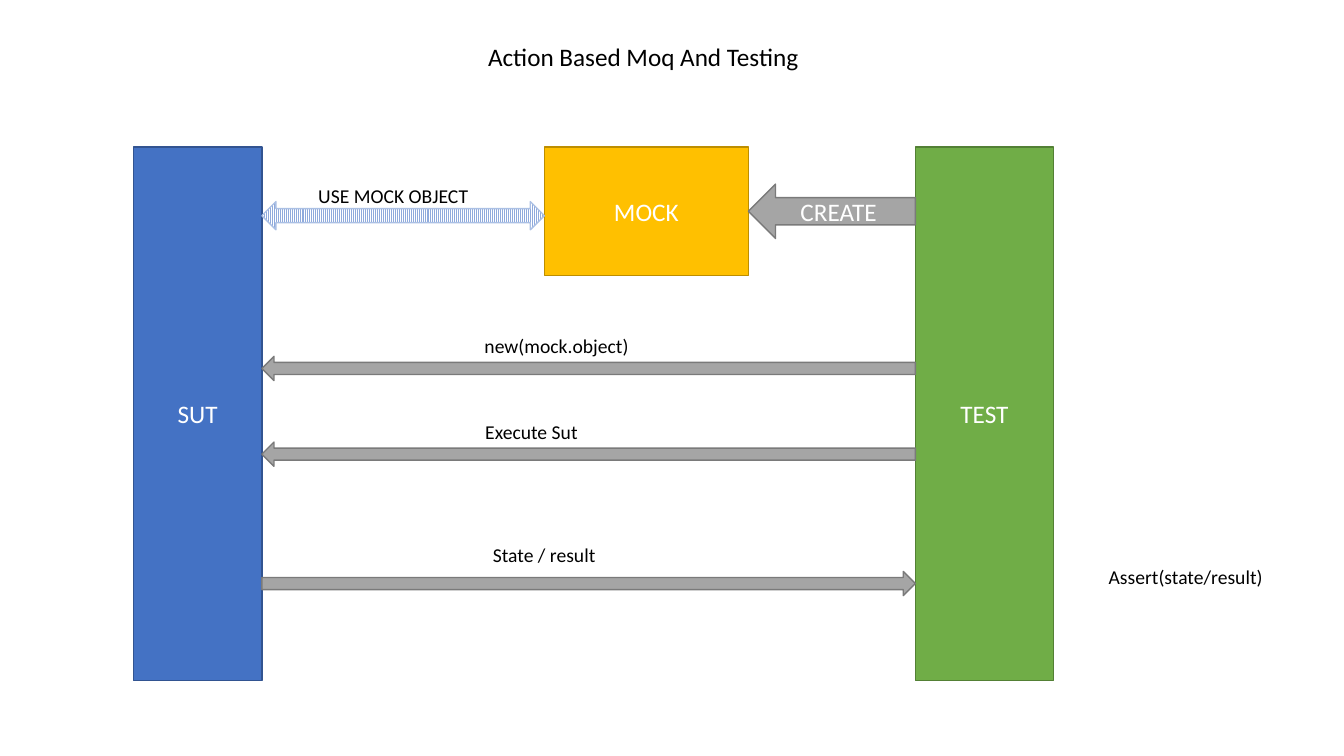
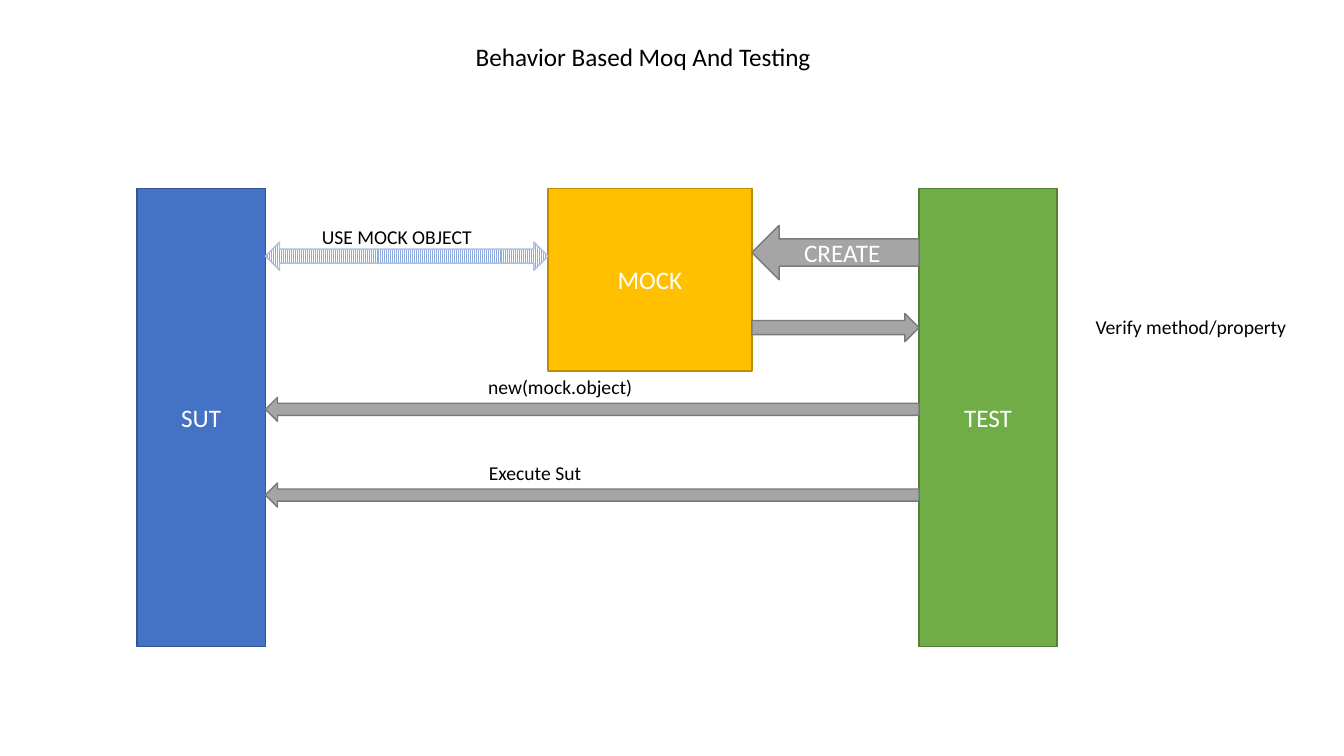
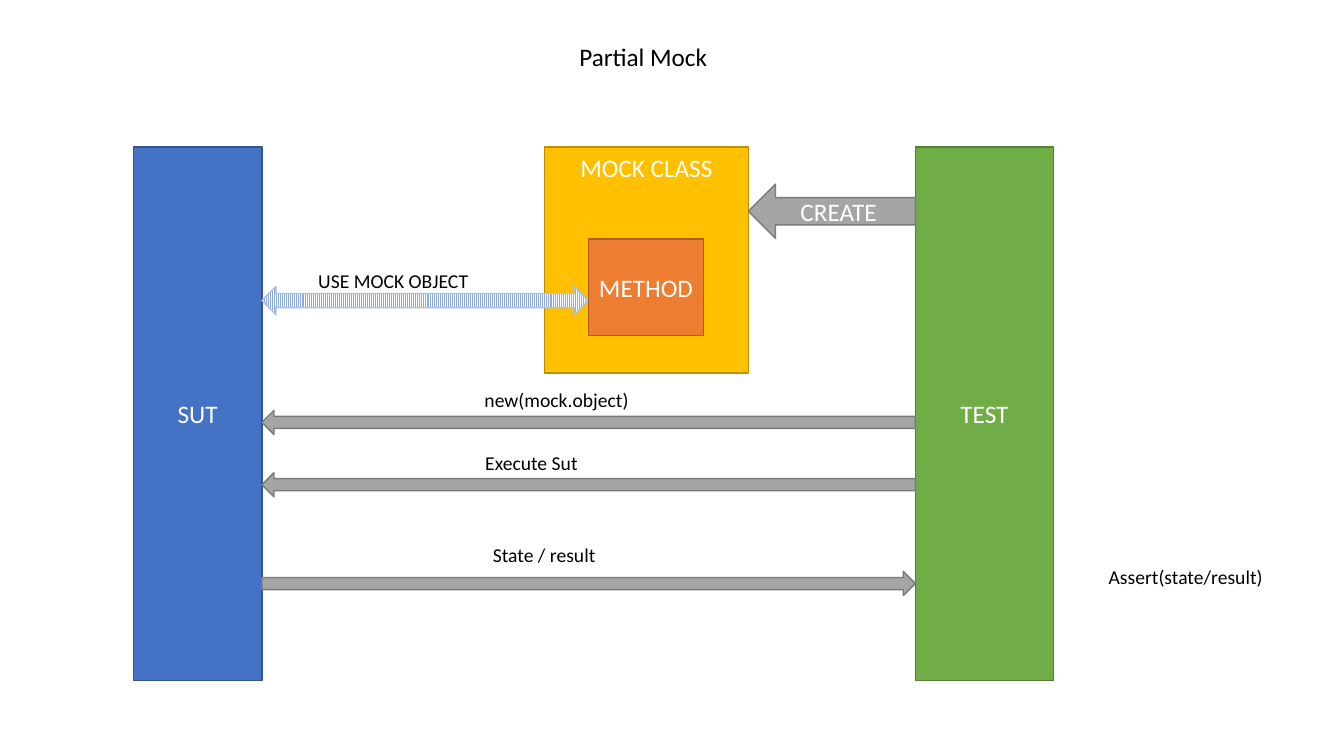
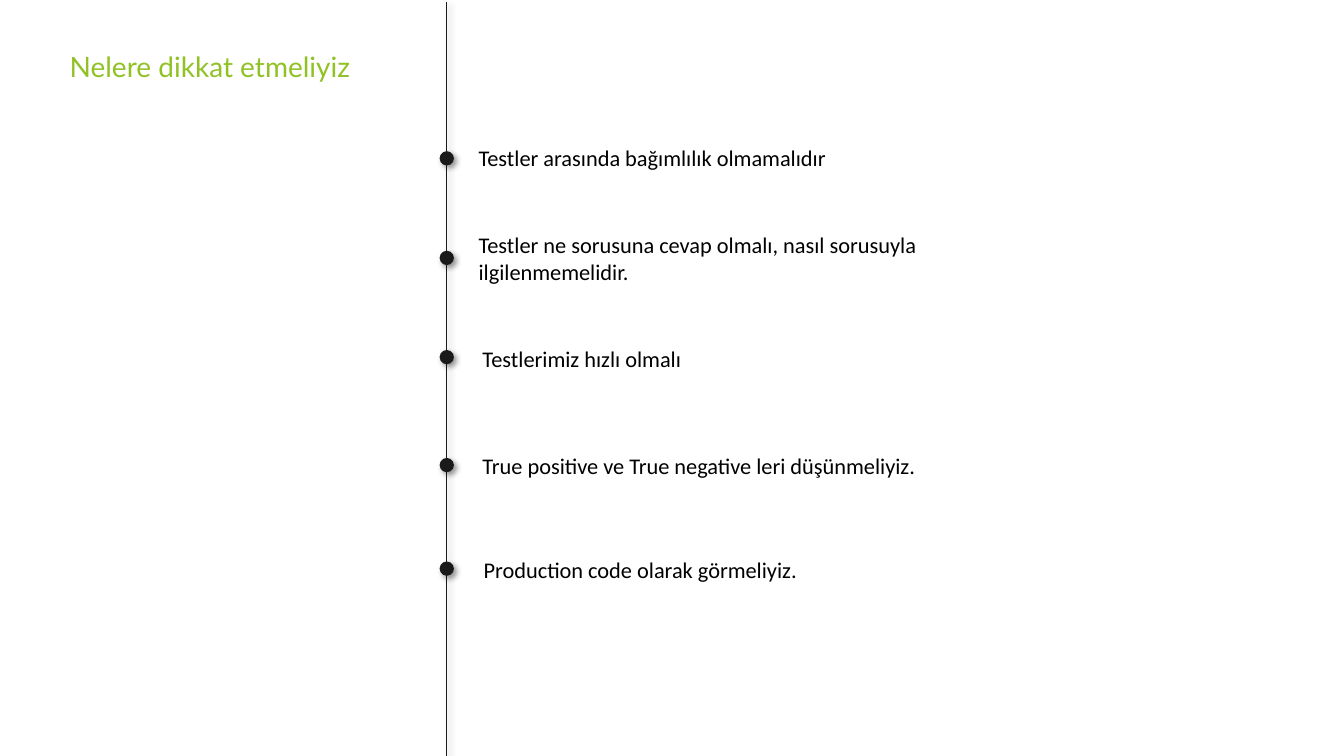
from lxml import etree
from pptx import Presentation
from pptx import util as u
from pptx.dml.color import RGBColor
from pptx.enum import dml, shapes, text
from pptx.oxml.ns import qn

HUE = {
    "sut": "4472C4", "sut rim": "325491",
    "mock": "FFC000", "mock rim": "BD8E00",
    "test": "70AD47", "test rim": "538035",
    "method": "ED7D31", "method rim": "AF5C24",
    "arrow": "A5A5A5", "arrow rim": "7A7A7A",
    "use": "8FAADC", "use rim": "ABC0E4",
    "white": "FFFFFF", "black": "000000", "dark": "1A1A1A", "green": "90C226",
}
KIND = shapes.MSO_SHAPE
LEFT, RIGHT, BOTH = KIND.LEFT_ARROW, KIND.RIGHT_ARROW, KIND.LEFT_RIGHT_ARROW
MID, TOP = text.MSO_ANCHOR.MIDDLE, text.MSO_ANCHOR.TOP
START, CENTER = text.PP_ALIGN.LEFT, text.PP_ALIGN.CENTER
SUT_X, SUT_W = 3.36, 3.24
MOCK_X, MOCK_W = 13.72, 5.14
TEST_X, TEST_W = 23.07, 3.48
SUT_END, MOCK_END = SUT_X + SUT_W, MOCK_X + MOCK_W
METHOD_X = 14.83
THIN, THICK, BIG = 0.61, 0.71, 1.37
LABEL_H = 0.86


def rgb(name):
    return RGBColor.from_string(HUE[name])


def cm(*sizes):
    return [u.Cm(size) for size in sizes]


def write(item, words, size, hue, align=START, anchor=TOP, font="Calibri"):
    frame = item.text_frame
    frame.text = words
    frame.vertical_anchor = anchor
    for par in frame.paragraphs:
        par.alignment = align
        for run in par.runs:
            run.font.size = u.Pt(size)
            run.font.name = font
            run.font.color.rgb = rgb(hue)


def head(slide, words, box, size=18, hue="black", align=CENTER, font="Calibri"):
    title = slide.shapes.title
    title.left, title.top, title.width, title.height = cm(*box)
    write(title, words, size, hue, align, font=font)


def form(slide, kind, box, hue, words="", anchor=MID):
    item = slide.shapes.add_shape(kind, *cm(*box))
    item.shadow.inherit = False
    item.fill.solid()
    item.fill.fore_color.rgb = rgb(hue)
    item.line.color.rgb = rgb(hue + " rim")
    item.line.width = u.Pt(1)
    if words:
        write(item, words, 18, "white", CENTER, anchor)
    return item


def arrow(slide, kind, start, end, y, tall=THIN, words=""):
    return form(slide, kind, (start, y, end - start, tall), "arrow", words)


def use(slide, start, end, y):
    item = form(slide, BOTH, (start, y, end - start, THICK), "use")
    item.fill.patterned()
    item.fill.pattern = dml.MSO_PATTERN.LIGHT_VERTICAL
    item.fill.fore_color.rgb = rgb("use")
    item.fill.back_color.rgb = rgb("white")


def label(slide, words, x, y, wide, align=START):
    item = slide.shapes.add_textbox(*cm(x, y, wide, LABEL_H))
    write(item, words, 14, "black", align)
    item.text_frame.word_wrap = False
    item.text_frame.auto_size = text.MSO_AUTO_SIZE.SHAPE_TO_FIT_TEXT


def flow(slide, title, top, tall, mock, depth, calls, use_y,
         use_end=MOCK_X, anchor=MID, dx=0):
    head(slide, title, (9.53, 0.91, 13.36, 1.02))
    form(slide, KIND.RECTANGLE, (SUT_X + dx, top, SUT_W, tall), "sut", "SUT")
    form(slide, KIND.RECTANGLE, (MOCK_X + dx, top, MOCK_W, depth), "mock", mock, anchor)
    form(slide, KIND.RECTANGLE, (TEST_X + dx, top, TEST_W, tall), "test", "TEST")
    arrow(slide, LEFT, MOCK_END + dx, TEST_X + dx, top + 0.93, BIG, "CREATE")
    for y in calls:
        arrow(slide, LEFT, SUT_END + dx, TEST_X + dx, y)
    use(slide, SUT_END + dx, use_end + dx, use_y)
    label(slide, "USE MOCK OBJECT", 7.77 + dx, use_y - 0.56, 4.32)
    label(slide, "new(mock.object)", 11.96 + dx, calls[0] - 0.68, 4.29)
    label(slide, "Execute Sut", 11.96 + dx, calls[1] - 0.68, 2.87, CENTER)


def result(slide):
    arrow(slide, RIGHT, SUT_END, TEST_X, 14.4)
    label(slide, "State / result", 12.17, 13.56, 3.12)
    label(slide, "Assert(state/result)", 27.69, 14.12, 4.45)


def shade(item):
    fx = etree.SubElement(item._element.spPr, qn("a:effectLst"))
    drop = etree.SubElement(fx, qn("a:outerShdw"), blurRad=str(u.Pt(4)),
                            dist=str(u.Pt(3)), dir="2700000", rotWithShape="0")
    tone = etree.SubElement(drop, qn("a:srgbClr"), val=HUE["black"])
    etree.SubElement(tone, qn("a:alpha"), val="40000")


def spine(slide, x):
    line = slide.shapes.add_connector(
        shapes.MSO_CONNECTOR.STRAIGHT, *cm(x, 0.05, x, 19.1))
    line.line.color.rgb = rgb("dark")
    line.line.width = u.Pt(0.5)
    shade(line)


def dot(slide, x, y, size=0.36):
    item = slide.shapes.add_shape(
        KIND.OVAL, *cm(x - size / 2, y - size / 2, size, size))
    item.fill.solid()
    item.fill.fore_color.rgb = rgb("dark")
    item.line.fill.background()
    shade(item)


def point(slide, words, x, y, wide, tall=0.94):
    item = slide.shapes.add_textbox(*cm(x, y - tall / 2, wide, tall))
    write(item, words, 16, "black", anchor=MID)
    item.text_frame.word_wrap = True
    item.text_frame.auto_size = text.MSO_AUTO_SIZE.SHAPE_TO_FIT_TEXT


def advice(slide):
    axis = 11.26
    spine(slide, axis)
    head(slide, "Nelere dikkat etmeliyiz", (1.5, 1.12, 15.21, 1.09),
         20, "green", START, "Lato")
    rows = [
        (3.99, 3.98, 11.81, 10.8, 0.94, "Testler arasında bağımlılık olmamalıdır"),
        (6.5, 6.5, 11.81, 14.76, 1.63,
         "Testler ne sorusuna cevap olmalı, nasıl sorusuyla ilgilenmemelidir."),
        (9, 9.03, 11.91, 9.27, 0.94, "Testlerimiz hızlı olmalı"),
        (11.72, 11.72, 11.91, 12.22, 0.94,
         "True positive ve True negative leri düşünmeliyiz."),
        (14.33, 14.34, 11.94, 9.27, 0.94, "Production code olarak görmeliyiz."),
    ]
    for spot, y, x, wide, tall, words in rows:
        dot(slide, axis, spot)
        point(slide, words, x, y, wide, tall)


def main():
    deck = Presentation()
    deck.slide_width, deck.slide_height = cm(33.87, 19.05)
    plain = deck.slide_layouts[5]
    action, habit, part, tips = [deck.slides.add_slide(plain) for _ in range(4)]

    flow(action, "Action Based Moq And Testing", 3.71, 13.44,
         "MOCK", 3.23, (8.98, 11.14), 5.08)
    result(action)

    shift = 0.09
    flow(habit, "Behavior Based Moq And Testing", 4.75, 11.55,
         "MOCK", 4.6, (10.01, 12.17), 6.1, dx=shift)
    arrow(habit, RIGHT, MOCK_END + shift, TEST_X + shift, 7.9, THICK)
    label(habit, "Verify method/property", 27.36, 7.82, 5.36)

    flow(part, "Partial Mock", 3.71, 13.44, "MOCK CLASS", 5.69,
         (10.34, 11.91), 7.22, METHOD_X, TOP)
    result(part)
    form(part, KIND.RECTANGLE, (METHOD_X, 6.02, 2.9, 2.44), "method", "METHOD")

    advice(tips)
    deck.save("out.pptx")


if __name__ == "__main__":
    main()
